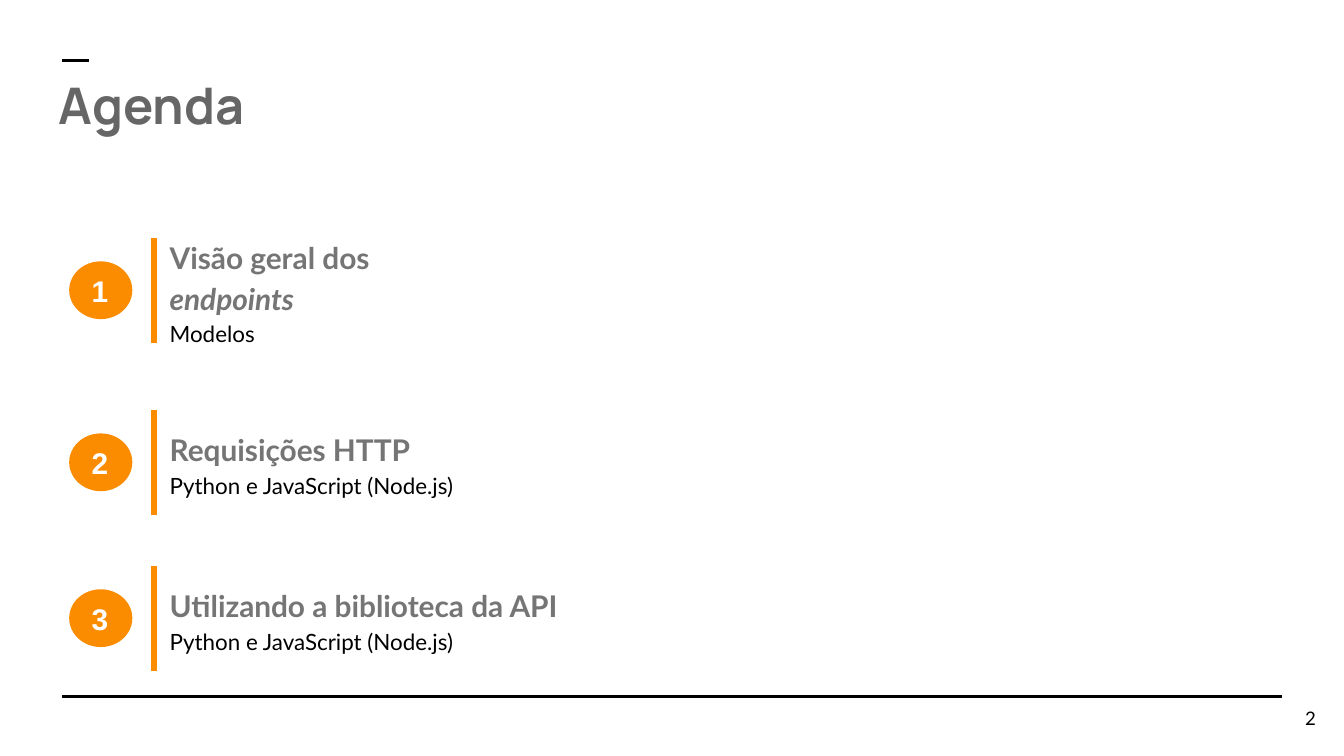
"""Build the agenda slide with three numbered topics."""
from lxml import etree
from pptx import Presentation
from pptx.dml.color import RGBColor
from pptx.enum.shapes import MSO_CONNECTOR, MSO_SHAPE
from pptx.enum.text import MSO_ANCHOR, MSO_AUTO_SIZE, PP_ALIGN
from pptx.oxml.ns import qn
from pptx.util import Inches, Pt

LINE = MSO_CONNECTOR.STRAIGHT
OVAL = MSO_SHAPE.OVAL
TOP, MIDDLE = MSO_ANCHOR.TOP, MSO_ANCHOR.MIDDLE
LEFT, CENTER, RIGHT = PP_ALIGN.LEFT, PP_ALIGN.CENTER, PP_ALIGN.RIGHT
FIXED = MSO_AUTO_SIZE.NONE
CELL = 0.1

BLACK, WHITE, ORANGE = "000000", "FFFFFF", "FB8C00"
HEAD = dict(size=16, color="757575", bold=True)
SUB = dict(size=12, color=BLACK)

TOPICS = [
    (17.7, 18.3, [("Visão geral dos ", HEAD), ("endpoints", HEAD | {"italic": True})],
     "Modelos"),
    (30.5, 23.1, [("Requisições HTTP", HEAD)], "Python e JavaScript (Node.js)"),
    (42.1, 36.2, [("Utilizando a biblioteca da API", HEAD)], "Python e JavaScript (Node.js)"),
]


def paint(code):
    return RGBColor.from_string(code)


def grid(*cells):
    return [Inches(round(cell * CELL, 3)) for cell in cells]


def write(para, text, font="Lato", size=12, color=BLACK, bold=False, italic=False):
    run = para.add_run()
    run.text = text
    face = run.font
    face.name, face.size = font, Pt(size)
    face.bold, face.italic = bold, italic
    face.color.rgb = paint(color)


class Deck:
    def __init__(self):
        self.file = Presentation()
        self.file.slide_width, self.file.slide_height = grid(100, 56.25)
        self.slide = self.file.slides.add_slide(self.file.slide_layouts[5])

    def fill(self, frame, paras, anchor=MIDDLE, align=LEFT, space=None):
        frame.word_wrap = True
        frame.auto_size = FIXED
        frame.vertical_anchor = anchor
        frame.margin_left = frame.margin_right = Inches(0.1)
        frame.margin_top = frame.margin_bottom = Inches(0.1)
        for place, runs in enumerate(paras):
            para = frame.add_paragraph() if place else frame.paragraphs[0]
            para.alignment = align
            para.line_spacing = space
            for text, form in runs:
                write(para, text, **form)

    def title(self, text, box, **form):
        shape = self.slide.shapes.title
        shape.left, shape.top, shape.width, shape.height = grid(*box)
        self.fill(shape.text_frame, [[(text, form)]], anchor=TOP)

    def text(self, paras, box, home=None, **form):
        shape = (home or self.slide).shapes.add_textbox(*grid(*box))
        self.fill(shape.text_frame, paras, **form)

    def line(self, ends, color=BLACK, width=1.5, home=None):
        line = (home or self.slide).shapes.add_connector(LINE, *grid(*ends))
        line.line.color.rgb = paint(color)
        line.line.width = Pt(width)
        etree.SubElement(line._element.spPr, qn("a:effectLst"))

    def badge(self, text, box):
        shape = self.slide.shapes.add_shape(OVAL, *grid(*box))
        shape.shadow.inherit = False
        shape.fill.solid()
        shape.fill.fore_color.rgb = paint(ORANGE)
        shape.line.fill.background()
        form = dict(font="Arial", size=16, color=WHITE, bold=True)
        self.fill(shape.text_frame, [[(text, form)]], align=LEFT)

    def topic(self, number, top, width, head, sub):
        group = self.slide.shapes.add_group_shape()
        self.line((11.46, top, 11.46, top + 7.8), ORANGE, 3, group)
        self.text([head, [(sub, SUB)]], (11.64, top - 0.82, width, 9.5), group, space=1.15)
        self.badge(str(number), (5.15, top + 1.75, 4.7, 4.3))


def main():
    deck = Deck()
    deck.line((4.65, 51.83, 95.4, 51.83))
    deck.line((4.65, 4.53, 6.65, 4.53))
    deck.text([[("2", dict(size=10))]], (92.9, 51.3, 6, 4.3), align=RIGHT)
    deck.title("Agenda", (3.35, 4.5, 93.2, 7), font="Manrope", size=27,
               color="666666", bold=True)
    for number, topic in enumerate(TOPICS, 1):
        deck.topic(number, *topic)
    deck.file.save("out.pptx")


if __name__ == "__main__":
    main()
